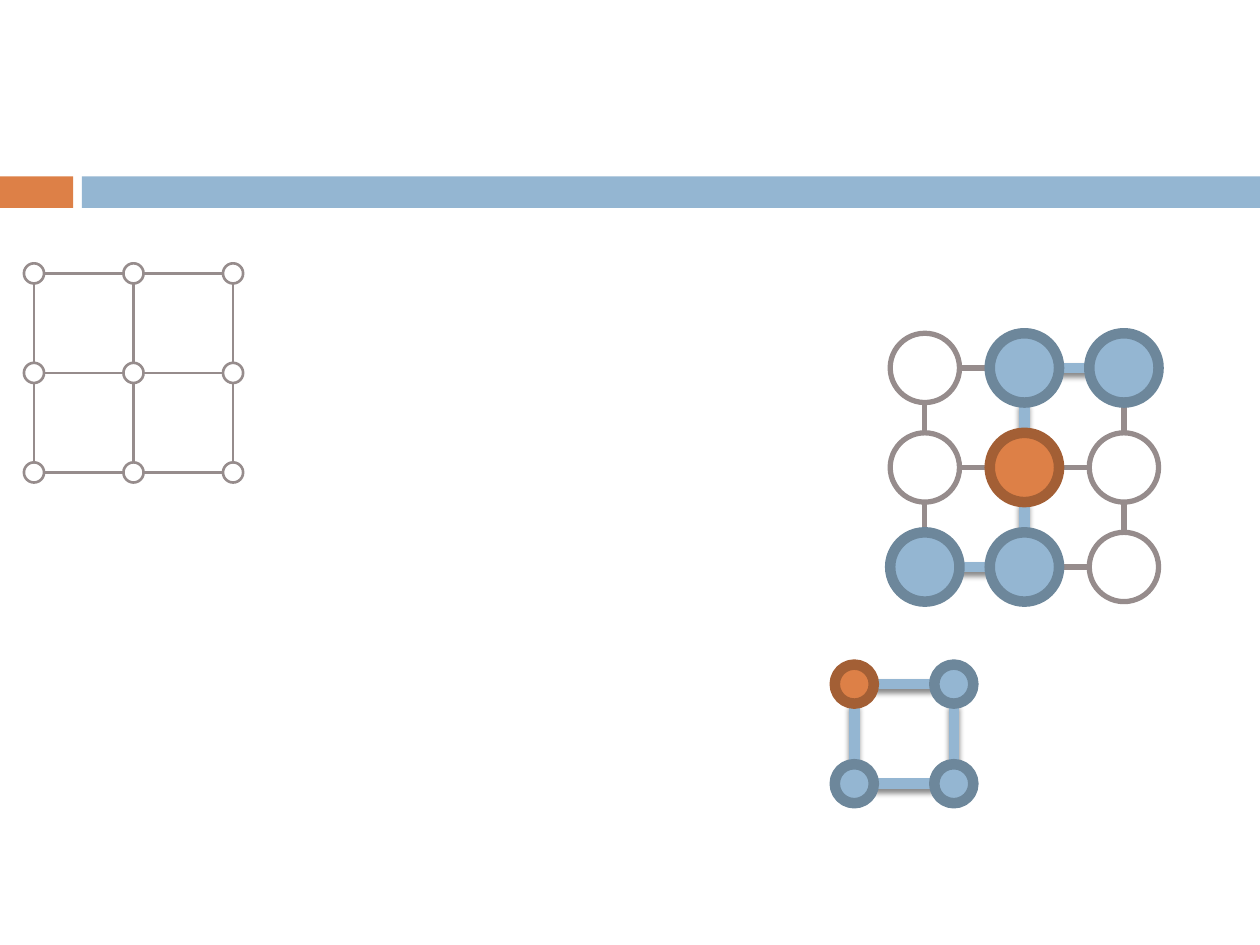
from dataclasses import dataclass
from itertools import product

from lxml import etree
from pptx import Presentation
from pptx import util as u
from pptx.dml.color import RGBColor
from pptx.enum import shapes
from pptx.oxml import ns

WIDTH, HEIGHT = 10, 7.5
PITCH = 0.79


@dataclass(frozen=True)
class Theme:
    white: str = "FFFFFF"
    gray: str = "968C8C"
    blue: str = "94B6D2"
    dark_blue: str = "6D879B"
    orange: str = "DD8047"
    dark_orange: str = "A35F35"
    shadow: str = "000000"
    thick: float = 6


THEME = Theme()
NODE_COLORS = {
    "W": (THEME.white, THEME.gray),
    "B": (THEME.blue, THEME.dark_blue),
    "O": (THEME.orange, THEME.dark_orange),
}


def set_line(line, color, width):
    line.color.rgb = RGBColor.from_string(color)
    line.width = u.Pt(width)


def add_shape(s, kind, x, y, w, h, fill):
    sp = s.shapes.add_shape(kind, *map(u.Inches, (x, y, w, h)))
    sp.shadow.inherit = False
    sp.fill.solid()
    sp.fill.fore_color.rgb = RGBColor.from_string(fill)
    sp.line.fill.background()
    return sp


def add_node(s, center, size, kind, width):
    x, y = center
    fill, outline = NODE_COLORS[kind]
    sp = add_shape(s, shapes.MSO_SHAPE.OVAL, x - size / 2, y - size / 2, size, size, fill)
    set_line(sp.line, outline, width if kind == "W" else THEME.thick)


def add_link(s, start, end, color, width, shadow):
    c = s.shapes.add_connector(
        shapes.MSO_CONNECTOR.STRAIGHT, *map(u.Inches, (*start, *end)))
    set_line(c.line, color, width)
    effects = etree.SubElement(c._element.spPr, ns.qn("a:effectLst"))
    if shadow:
        outer = etree.SubElement(
            effects, ns.qn("a:outerShdw"), blurRad=str(u.Pt(3)),
            dist=str(u.Pt(2.4)), dir="5400000", rotWithShape="0")
        tint = etree.SubElement(outer, ns.qn("a:srgbClr"), val=THEME.shadow)
        etree.SubElement(tint, ns.qn("a:alpha"), val="45000")


def add_lattice(s, left, top, size, rows, width):
    nodes = {(i, j): kind for j, row in enumerate(rows) for i, kind in enumerate(row)}

    def center(i, j):
        return left + i * PITCH, top + j * PITCH

    for (i, j), (di, dj) in product(nodes, ((1, 0), (0, 1))):
        other = (i + di, j + dj)
        if other not in nodes:
            continue
        marked = "W" not in (nodes[i, j], nodes[other])
        (x1, y1), (x2, y2) = center(i, j), center(*other)
        gap_x, gap_y = di * size / 2, dj * size / 2
        add_link(s, (x1 + gap_x, y1 + gap_y), (x2 - gap_x, y2 - gap_y),
                 THEME.blue if marked else THEME.gray,
                 THEME.thick if marked else width, marked)
    for cell, kind in nodes.items():
        add_node(s, center(*cell), size, kind, width)


def add_band(s):
    top, height, tab, start = 1.4, 0.25, 0.58, 0.65
    rect = shapes.MSO_SHAPE.RECTANGLE
    add_shape(s, rect, 0, top, tab, height, THEME.orange)
    add_shape(s, rect, start, top, WIDTH - start, height, THEME.blue)


def main():
    prs = Presentation()
    prs.slide_width, prs.slide_height = u.Inches(WIDTH), u.Inches(HEIGHT)
    s = prs.slides.add_slide(prs.slide_layouts[6])
    add_band(s)
    add_lattice(s, 0.27, 2.17, 0.16, ("WWW", "WWW", "WWW"), 1.5)
    add_lattice(s, 7.34, 2.92, 0.55, ("WBB", "WOW", "BBW"), 3)
    add_lattice(s, 6.78, 5.43, 0.31, ("OB", "BB"), 3)
    prs.save("out.pptx")


main()
